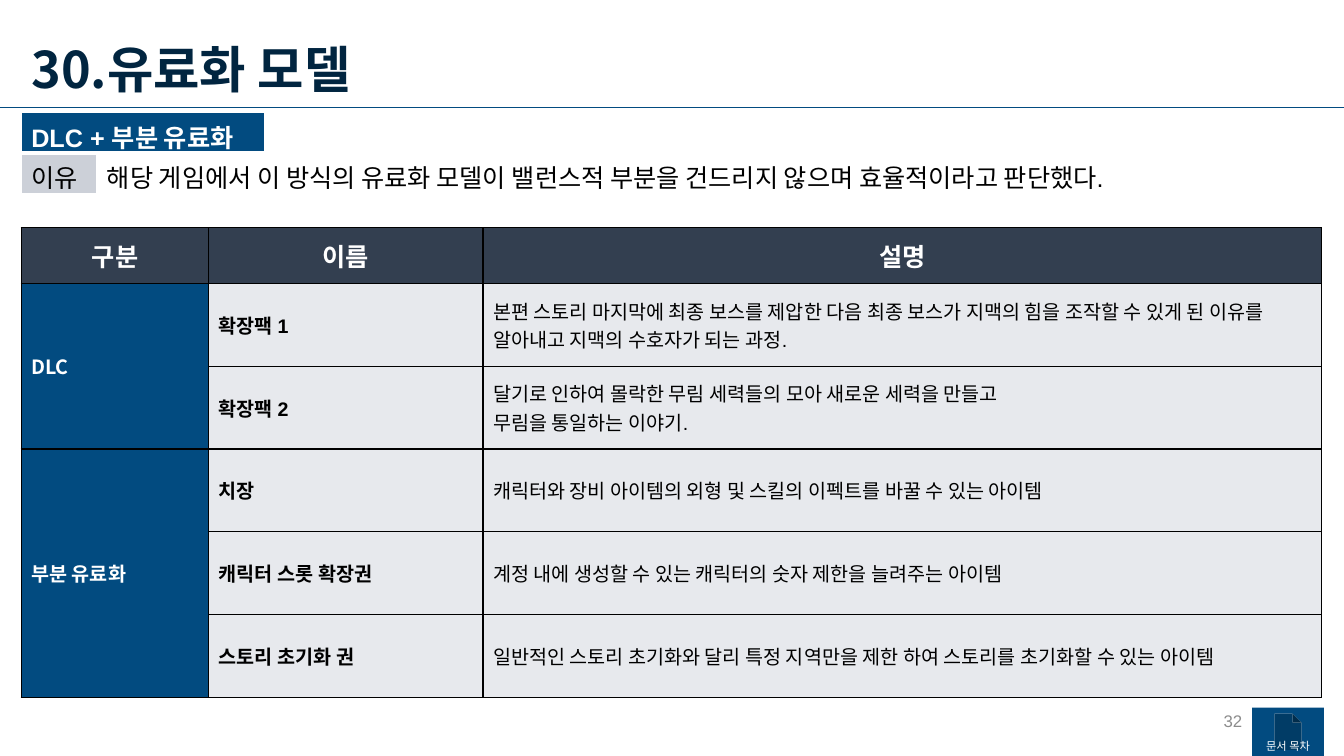
from dataclasses import dataclass

from lxml.etree import SubElement
from pptx import Presentation
from pptx.dml.color import RGBColor
from pptx.enum.shapes import MSO_CONNECTOR, MSO_SHAPE
from pptx.enum.text import MSO_ANCHOR as ANCHOR, MSO_AUTO_SIZE, PP_ALIGN as ALIGN
from pptx.oxml import parse_xml
from pptx.oxml.ns import nsdecls, qn
from pptx.util import Inches, Pt


@dataclass(frozen=True)
class Theme:
    """Colours, fonts and type sizes of the slide."""
    navy: str = "012540"
    blue: str = "024B80"
    slate: str = "333F50"
    label: str = "CCD0D8"
    pale: str = "E7E9ED"
    grey: str = "8C8C8C"
    white: str = "FFFFFF"
    black: str = "000000"
    latin: str = "Arial"
    korean: str = "Noto Sans CJK KR"
    title: int = 36
    head: int = 18
    body: int = 14
    number: int = 12
    button: int = 8


T = Theme()
WIDTH, HEIGHT = Inches(13.33), Inches(7.5)

HEADERS = ["구분", "이름", "설명"]
GROUPS = {
    "DLC": [
        ("확장팩 1", ["본편 스토리 마지막에 최종 보스를 제압한 다음 최종 보스가 지맥의 힘을 조작할 수 있게 된 이유를 "
                   "알아내고 지맥의 수호자가 되는 과정."]),
        ("확장팩 2", ["달기로 인하여 몰락한 무림 세력들의 모아 새로운 세력을 만들고", "무림을 통일하는 이야기."]),
    ],
    "부분 유료화": [
        ("치장", ["캐릭터와 장비 아이템의 외형 및 스킬의 이펙트를 바꿀 수 있는 아이템"]),
        ("캐릭터 스롯 확장권", ["계정 내에 생성할 수 있는 캐릭터의 숫자 제한을 늘려주는 아이템"]),
        ("스토리 초기화 권", ["일반적인 스토리 초기화와 달리 특정 지역만을 제한 하여 스토리를 초기화할 수 있는 아이템"]),
    ],
}


def place(x, y, w, h):
    """Turn percentages of the slide into a box of lengths."""
    return [int(share * side / 100) for share, side in zip((x, y, w, h), (WIDTH, HEIGHT) * 2)]


def write(tf, lines, size, color, bold=False, font=T.latin, align=ALIGN.LEFT):
    """Fill a text frame with one styled run per paragraph."""
    for i, line in enumerate(lines):
        p = tf.add_paragraph() if i else tf.paragraphs[0]
        p.alignment = align
        r = p.add_run()
        r.text = line
        r.font.size, r.font.bold, r.font.name = Pt(size), bold, font
        r.font.color.rgb = RGBColor.from_string(color)
        SubElement(r.font._element, qn("a:ea")).set("typeface", T.korean)


def set_borders(cell, color, **widths):
    """Draw the borders of a cell, one point wide unless given by side."""
    for i, side in enumerate("LRTB"):
        width = Pt(widths.get(side, 1))
        cell._tc.get_or_add_tcPr().insert(i, parse_xml(
            f'<a:ln{side} {nsdecls("a")} w="{width}"><a:solidFill><a:srgbClr val="{color}"/>'
            f'</a:solidFill></a:ln{side}>'))


def set_cell(cell, lines, size, color, fill=None, anchor=ANCHOR.MIDDLE, **style):
    """Write a cell and set its fill."""
    cell.vertical_anchor = anchor
    write(cell.text_frame, lines, size, color, **style)
    if fill:
        cell.fill.solid()
        cell.fill.fore_color.rgb = RGBColor.from_string(fill)
    else:
        cell.fill.background()


def add_grid(s, box, cols, rows):
    """Add a plain table whose columns and rows share the box by weight."""
    table = s.shapes.add_table(len(rows), len(cols), *box).table
    table.first_row = table.horz_banding = False
    for col, weight in zip(table.columns, cols):
        col.width = int(box[2] * weight / sum(cols))
    for row, weight in zip(table.rows, rows):
        row.height = int(box[3] * weight / sum(rows))
    return table


def add_heading(s, box):
    """Place the title and the full-width rule under it."""
    x, y, w, h = box
    sp = s.shapes.title
    sp.left, sp.top, sp.width, sp.height = box
    tf = sp.text_frame
    tf.word_wrap, tf.auto_size = False, MSO_AUTO_SIZE.NONE
    tf.vertical_anchor = ANCHOR.TOP
    write(tf, ["30.유료화 모델"], T.title, T.navy, bold=True, font=T.korean)
    rule_y = y + int(h * 1.04)
    rule = s.shapes.add_connector(MSO_CONNECTOR.STRAIGHT, 0, rule_y, WIDTH, rule_y)
    rule.line.color.rgb = RGBColor.from_string(T.blue)
    rule.line.width = Pt(0.5)
    SubElement(rule._element.spPr, qn("a:effectLst"))


def add_summary(s, box):
    """Place the model's name with the reason below it."""
    table = add_grid(s, box, (0.75, 1.66, 9.79), (1, 1))
    name, blank, label, reason = (table.cell(*at) for at in ((0, 0), (0, 2), (1, 0), (1, 1)))
    for cell in table.iter_cells():
        cell.fill.background()
    name.merge(table.cell(0, 1))
    reason.merge(table.cell(1, 2))
    set_cell(name, ["DLC + 부분 유료화"], T.head, T.white, T.blue, ANCHOR.TOP, bold=True)
    set_cell(label, ["이유"], T.head, T.black, T.label, ANCHOR.TOP)
    set_cell(reason, ["해당 게임에서 이 방식의 유료화 모델이 밸런스적 부분을 건드리지 않으며 효율적이라고 판단했다."],
             T.head, T.black, anchor=ANCHOR.TOP)
    for i, cell in enumerate(table.iter_cells()):
        set_borders(cell, T.white, **({"B": 3} if i < 3 else {"T": 3}))


def add_items(s, box):
    """Place the table of paid items, grouped in its first column."""
    count = sum(map(len, GROUPS.values()))
    table = add_grid(s, box, (1.86, 2.72, 8.32), [0.55] + [0.82] * count)
    for c, header in enumerate(HEADERS):
        set_cell(table.cell(0, c), [header], T.head, T.white, T.slate,
                 bold=True, font=T.korean, align=ALIGN.CENTER)
    top = 1
    for group, items in GROUPS.items():
        first = table.cell(top, 0)
        first.merge(table.cell(top + len(items) - 1, 0))
        set_cell(first, [group], T.body, T.white, T.blue, bold=True, font=T.korean)
        for r, (name, lines) in enumerate(items, top):
            set_cell(table.cell(r, 1), [name], T.body, T.black, T.pale, bold=True)
            set_cell(table.cell(r, 2), lines, T.body, T.black, T.pale)
        top += len(items)
    for cell in table.iter_cells():
        set_borders(cell, T.black)


def add_number(s, box):
    """Place the page number."""
    tf = s.shapes.add_textbox(*box).text_frame
    tf.word_wrap = True
    tf.vertical_anchor = ANCHOR.MIDDLE
    write(tf, ["32"], T.number, T.grey, align=ALIGN.RIGHT)


def add_contents_button(s, box):
    """Place the button for the table of contents."""
    sp = s.shapes.add_shape(MSO_SHAPE.ACTION_BUTTON_DOCUMENT, *box)
    sp.shadow.inherit = False
    sp.fill.solid()
    sp.fill.fore_color.rgb = RGBColor.from_string(T.blue)
    sp.line.fill.background()
    tf = sp.text_frame
    tf.word_wrap = True
    tf.margin_left = tf.margin_right = 0
    tf.margin_bottom = Inches(0.03)
    tf.vertical_anchor = ANCHOR.BOTTOM
    write(tf, ["문서 목차"], T.button, T.white, align=ALIGN.CENTER)


def main():
    """Build the slide and save it."""
    prs = Presentation()
    prs.slide_width, prs.slide_height = WIDTH, HEIGHT
    s = prs.slides.add_slide(prs.slide_layouts[5])
    add_heading(s, place(1.58, 4.4, 30.9, 9.47))
    add_number(s, place(70.67, 92.67, 22.5, 5.33))
    add_summary(s, place(1.58, 14.93, 91.52, 10.67))
    add_items(s, place(1.58, 30.13, 96.77, 62.13))
    add_contents_button(s, place(93.17, 93.6, 5.33, 6.4))
    prs.save("out.pptx")


if __name__ == "__main__":
    main()
